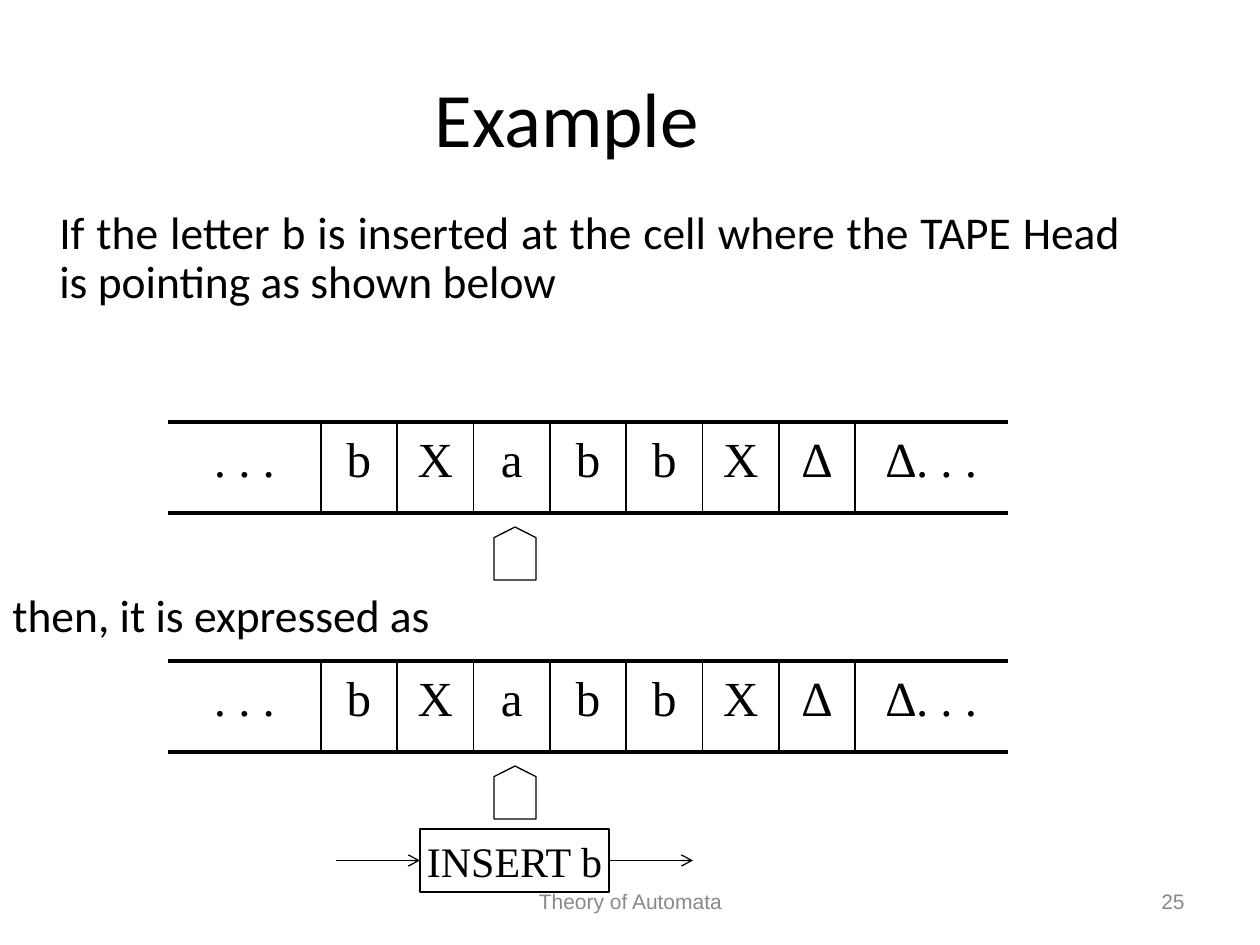
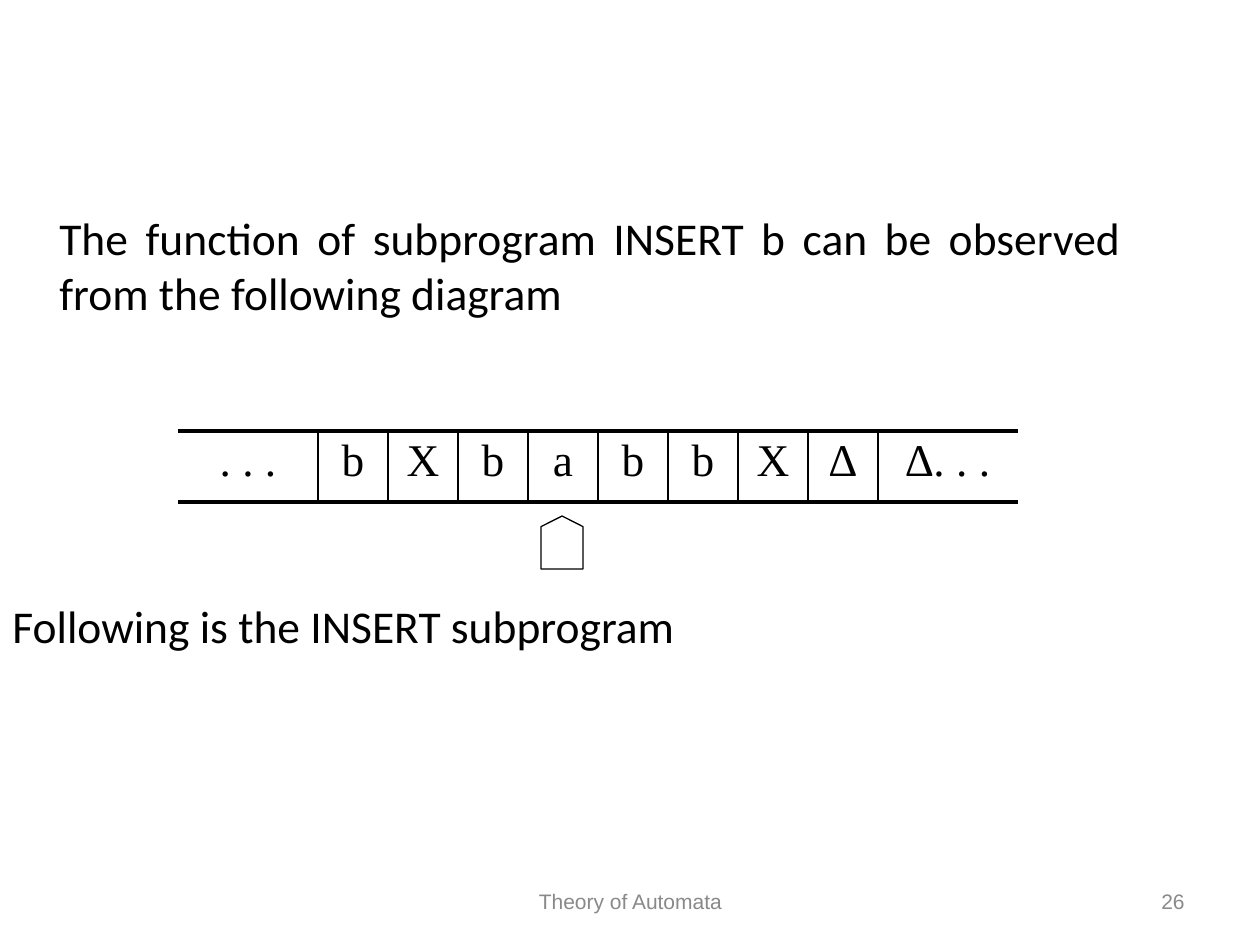
"""Builds two slides on the INSERT subprogram of a Turing machine."""
from lxml.etree import SubElement
from pptx import Presentation
from pptx.dml.color import RGBColor
from pptx.enum.shapes import MSO_CONNECTOR as Connector, MSO_SHAPE as Shape
from pptx.enum.text import MSO_ANCHOR as Anchor, PP_ALIGN as Align
from pptx.oxml.ns import qn
from pptx.util import Emu, Pt

BLACK = RGBColor(0x00, 0x00, 0x00)
GRAY = RGBColor(0x89, 0x89, 0x89)
HEADING_FONT, TAPE_FONT, FOOTER_FONT = "Calibri", "Times New Roman", "Arial"
TITLE_ONLY, BLANK = 5, 6
SLIDE_WIDTH, SLIDE_HEIGHT = 1260, 945
TAPE_WIDTH = 840
HEAD_WIDTH, HEAD_HEIGHT, HEAD_GAP = 42, 53, 14


def px(length):
    return Emu(round(length * 914400 / 126))


class SlideBuilder:
    """Holds the style and the slide being drawn."""

    def __init__(self, deck):
        self.deck = deck
        self.page = None

    def new_page(self, number, title=None):
        layout = BLANK if title is None else TITLE_ONLY
        self.page = self.deck.slides.add_slide(self.deck.slide_layouts[layout])
        if title is not None:
            self.title(title)
        self.text("Theory of Automata", 431, 876, 399, 50, 12, FOOTER_FONT,
                  color=GRAY, anchor=Anchor.MIDDLE)
        self.text(str(number), 903, 876, 294, 50, 12, FOOTER_FONT,
                  color=GRAY, align=Align.RIGHT, anchor=Anchor.MIDDLE)

    def format(self, para, size, font, color=BLACK, align=Align.CENTER):
        para.alignment = align
        for span in para.runs:
            span.font.size = Pt(size)
            span.font.name = font
            span.font.color.rgb = color

    def title(self, text):
        box = self.page.shapes.title
        box.left, box.top, box.width, box.height = px(0), px(38), px(1134), px(157)
        box.text_frame.text = text
        self.format(box.text_frame.paragraphs[0], 44, HEADING_FONT)

    def text(self, text, left, top, width, height, size, font,
             color=BLACK, align=Align.CENTER, anchor=Anchor.TOP):
        box = self.page.shapes.add_textbox(px(left), px(top), px(width), px(height))
        frame = box.text_frame
        frame.word_wrap = True
        frame.vertical_anchor = anchor
        frame.text = text
        for para in frame.paragraphs:
            self.format(para, size, font, color, align)
        return frame

    def body(self, intro, follow_up, spacing=1.0):
        frame = self.text(f"{intro}\n{follow_up}", 0, 204, 1134, 624, 26,
                          HEADING_FONT, align=Align.JUSTIFY)
        first, second = frame.paragraphs
        first.line_spacing = spacing
        first.space_before = Pt(6.5)
        first._p.get_or_add_pPr().set("marL", str(px(47)))
        second.space_before = Pt(159)

    def line(self, x1, y1, x2, y2, weight, arrow=False):
        line = self.page.shapes.add_connector(
            Connector.STRAIGHT, px(x1), px(y1), px(x2), px(y2))
        line.line.color.rgb = BLACK
        line.line.width = Pt(weight)
        if arrow:
            SubElement(line.line._get_or_add_ln(), qn("a:tailEnd"), type="arrow")
        SubElement(line._element.spPr, qn("a:effectLst"))
        return line

    def outline(self, kind, left, top, width, height):
        shape = self.page.shapes.add_shape(
            kind, px(left), px(top), px(width), px(height))
        shape.shadow.inherit = False
        shape.fill.background()
        shape.line.color.rgb = BLACK
        shape.line.width = Pt(0.75)
        return shape

    def tape(self, cells, left, top, height, size, head_left, spacing=1.0):
        unit = TAPE_WIDTH / (len(cells) + 2)
        right, bottom = left + TAPE_WIDTH, top + height
        inner_edges = [left + unit * (i + 2) for i in range(len(cells) - 1)]
        edges = [left, *inner_edges, right]
        for symbol, start, end in zip(cells, edges, edges[1:]):
            frame = self.text(symbol, start, top, end - start, height, size, TAPE_FONT)
            frame.paragraphs[0].space_before = Pt(7)
            frame.paragraphs[0].line_spacing = spacing
        for y in (top, bottom):
            self.line(left, y, right, y, 2.25)
        for x in inner_edges:
            self.line(x, top, x, bottom, 1)
        head = self.outline(Shape.FLOWCHART_OFFPAGE_CONNECTOR, head_left,
                            bottom + HEAD_GAP, HEAD_WIDTH, HEAD_HEIGHT)
        head.rotation = 180

    def instruction(self, text, left, top, width, height, arrow_length):
        box = self.outline(Shape.RECTANGLE, left, top, width, height)
        frame = box.text_frame
        frame.word_wrap = False
        frame.vertical_anchor = Anchor.MIDDLE
        frame.text = text
        self.format(frame.paragraphs[0], 24, TAPE_FONT)
        middle, right = top + height / 2, left + width
        entry = self.line(left - arrow_length, middle, left, middle, 0.75, arrow=True)
        entry.end_connect(box, 1)
        leave = self.line(right, middle, right + arrow_length, middle, 0.75, arrow=True)
        leave.begin_connect(box, 3)


def main():
    deck = Presentation()
    deck.slide_width, deck.slide_height = px(SLIDE_WIDTH), px(SLIDE_HEIGHT)
    builder = SlideBuilder(deck)

    builder.new_page(25, "Example")
    builder.body("If the letter b is inserted at the cell where the TAPE Head "
                 "is pointing as shown below", "then, it is expressed as", 0.9)
    tape_before = [". . .", *"bXabbX∆", "∆. . ."]
    for top in (422, 661):
        builder.tape(tape_before, 168, top, 91, 28, 494)
    builder.instruction("INSERT b", 420, 829, 189, 63, 84)

    builder.new_page(26)
    builder.body("The function of subprogram INSERT b can be observed from the "
                 "following diagram", "Following is the INSERT subprogram")
    tape_after = [". . .", *"bXbabbX∆", "∆. . ."]
    builder.tape(tape_after, 178, 431, 71, 25.9, 541, 0.9)

    deck.save("out.pptx")


if __name__ == "__main__":
    main()
